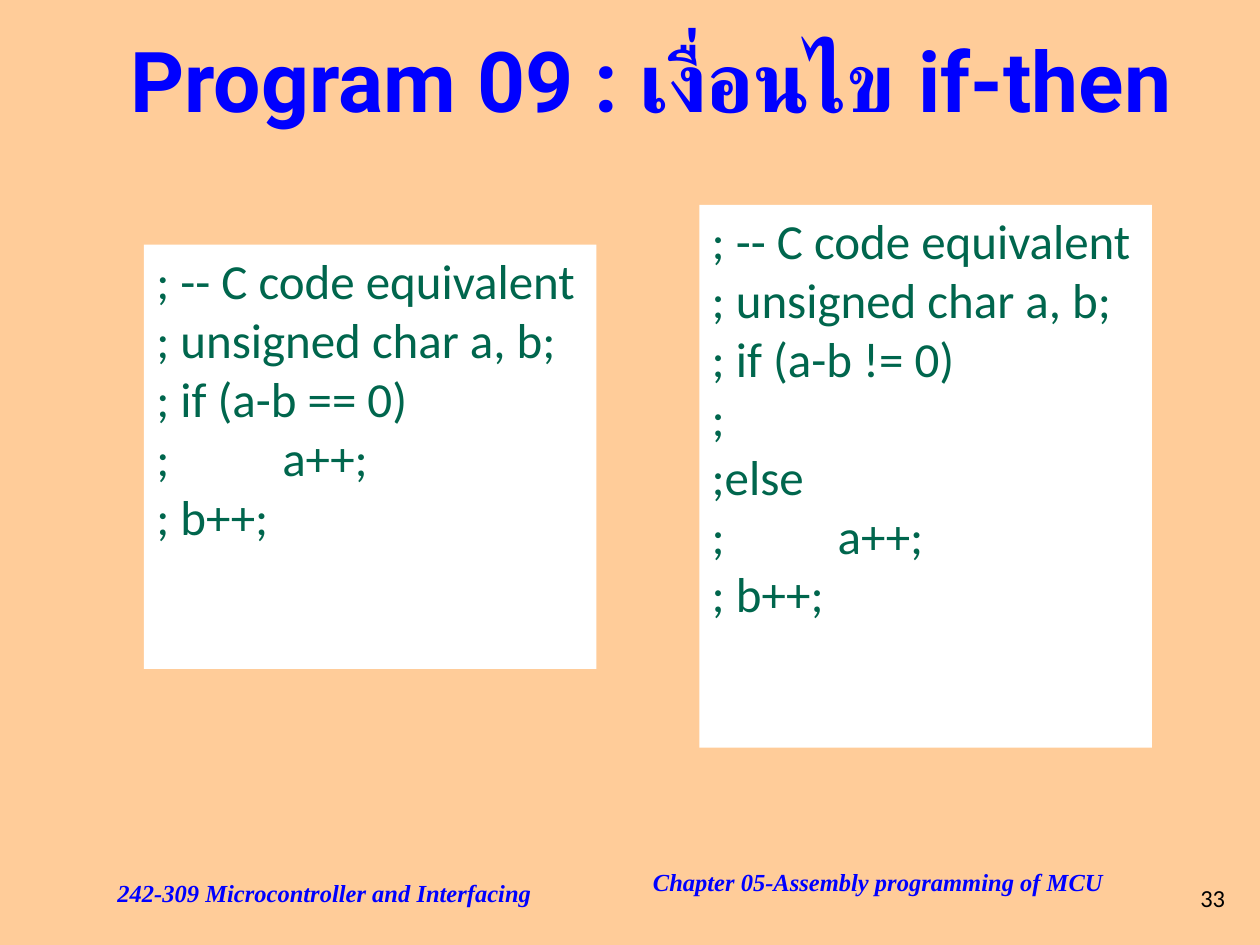
"""Build the if-then slide on a grid of 120 columns by 90 rows."""
import pptx
import pptx.util
import pptx.dml.color
import pptx.enum.text
import pptx.enum.shapes
import lxml.etree

RGB = pptx.dml.color.RGBColor
PEACH = RGB(0xFF, 0xCC, 0x99)
BLUE = RGB(0x00, 0x00, 0xFF)
GREEN = RGB(0x00, 0x66, 0x4D)
WHITE = RGB(0xFF, 0xFF, 0xFF)
BLACK = RGB(0x00, 0x00, 0x00)
ALIGN = pptx.enum.text.PP_ALIGN
ANCHOR = pptx.enum.text.MSO_ANCHOR
TABS = ('<a:tabLst xmlns:a="http://schemas.openxmlformats.org/drawingml/2006/main">'
        '<a:tab pos="914400" algn="l"/></a:tabLst>')

deck = pptx.Presentation()
deck.slide_width = pptx.util.Inches(10)
deck.slide_height = pptx.util.Inches(7.5)
col, row = deck.slide_width / 120, deck.slide_height / 90
slide = deck.slides.add_slide(deck.slide_layouts[6])
slide.background.fill.solid()
slide.background.fill.fore_color.rgb = PEACH


def write(text, *, grid, size, font, color, bold=None, slant=None, align=ALIGN.LEFT,
          anchor=ANCHOR.TOP, wrap=True, pad=0.1, fill=None):
    """Put text in a box placed by column, row, columns wide and rows high."""
    x, y, wide, high = grid
    place = [int(n) for n in (x * col, y * row, wide * col, high * row)]
    if fill is None:
        box = slide.shapes.add_textbox(*place)
    else:
        box = slide.shapes.add_shape(pptx.enum.shapes.MSO_SHAPE.RECTANGLE, *place)
        box.shadow.inherit = False
        box.fill.solid()
        box.fill.fore_color.rgb = fill
        box.line.fill.background()
    frame = box.text_frame
    frame.word_wrap = wrap
    frame.vertical_anchor = anchor
    frame.margin_left = frame.margin_right = pptx.util.Inches(pad)
    frame.margin_top = frame.margin_bottom = pptx.util.Inches(pad / 2)
    frame.text = text
    for para in frame.paragraphs:
        para.alignment = align
        if "\t" in para.text:
            para._p.get_or_add_pPr().append(lxml.etree.fromstring(TABS))
        for run in para.runs:
            run.font.name = font
            run.font.size = pptx.util.Pt(size)
            run.font.bold = bold
            run.font.italic = slant
            run.font.color.rgb = color


write("33", grid=(112, 82, 7, 7), size=14, font="Calibri", color=BLACK,
      align=ALIGN.CENTER, anchor=ANCHOR.MIDDLE, wrap=False)
foot = dict(size=14, font="Times New Roman", color=BLUE, bold=True, slant=True)
write("Chapter 05-Assembly programming of MCU", grid=(61, 82, 80, 8), **foot)
write("Program 09 : เงื่อนไข if-then", grid=(11, 0, 102, 15), size=48, font="Roboto",
      color=BLUE, bold=True, align=ALIGN.CENTER, anchor=ANCHOR.MIDDLE, pad=0)

head = ["; -- C code equivalent", "; unsigned char a, b;"]
tail = [";\ta++;", "; b++;"]
for test, grid in (
    (["; if (a-b == 0)"], (13.7, 23.3, 43.1, 40.4)),
    (["; if (a-b != 0)", ";", ";else"], (66.6, 19.5, 43.1, 51.7)),
):
    write("\n".join(head + test + tail), grid=grid, size=28, font="Calibri",
          color=GREEN, fill=WHITE)

write("242-309 Microcontroller and Interfacing", grid=(10, 83, 45.2, 6), **foot)

deck.save("out.pptx")
